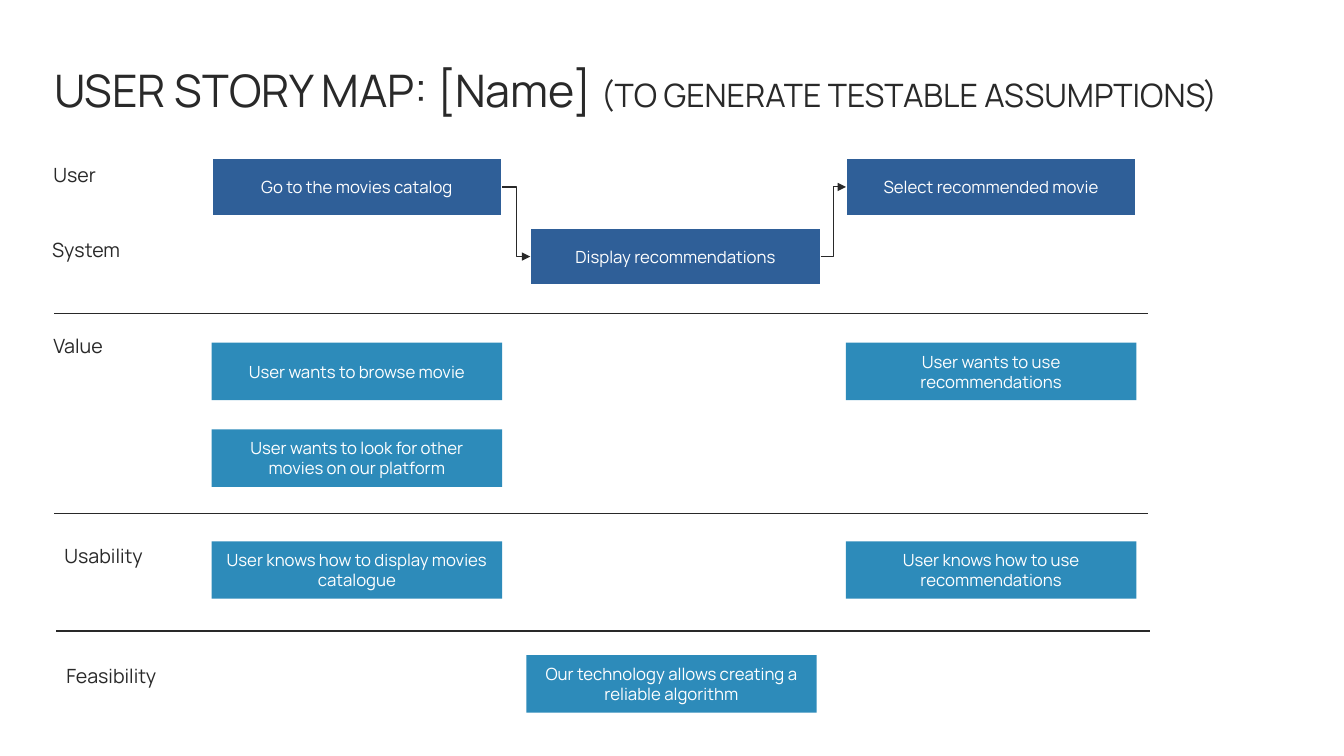
import pptx
import pptx.dml.color
import pptx.enum.shapes
import pptx.enum.text
import pptx.oxml.ns
import pptx.util
from lxml import etree

FONT = "Manrope"
INK, WHITE, STEP_BLUE, ASSUMPTION_BLUE = "292929", "FFFFFF", "2F5F98", "2D8BBA"
COLUMNS = {"first": 2.1, "feasible": 5.22, "second": 5.26, "third": 8.39}
ROWS = {"user": 1.57, "system": 2.26, "value": 3.4, "more value": 4.26,
        "usability": 5.37, "feasibility": 6.5}
CARD_WIDTH, CARD_HEIGHT = 2.88, 0.57
DIVIDER_WIDTH = 10.85
RIGHT_SITE, LEFT_SITE = 3, 1

STEPS = [
    ("first", "user", "Go to the movies catalog"),
    ("second", "system", "Display recommendations"),
    ("third", "user", "Select recommended movie"),
]
ASSUMPTIONS = [
    ("first", "value", "User wants to browse movie"),
    ("first", "more value", "User wants to look for other movies on our platform"),
    ("third", "value", "User wants to use recommendations"),
    ("third", "usability", "User knows how to use recommendations"),
    ("first", "usability", "User knows how to display movies catalogue"),
    ("feasible", "feasibility", "Our technology allows creating a reliable algorithm"),
]
LABELS = [
    (0.43, 1.57, 0.68, "User"),
    (0.42, 2.31, 0.93, "System"),
    (0.43, 3.26, 1.35, "Value"),
    (0.54, 5.35, 1.09, "Usability"),
    (0.56, 6.54, 1.22, "Feasibility"),
]
DIVIDERS = [(0.54, 3.11), (0.54, 5.09), (0.56, 6.26)]


def inches(*lengths):
    return [pptx.util.Inches(length) for length in lengths]


def color(hex_code):
    return pptx.dml.color.RGBColor.from_string(hex_code)


def set_font(font, size, hex_code):
    font.name = FONT
    font.size = pptx.util.Pt(size)
    font.color.rgb = color(hex_code)


def add_title(slide, name, purpose):
    frame = slide.shapes.add_textbox(*inches(0.54, 0.62, 12.27, 3.44)).text_frame
    frame.word_wrap = True
    frame.margin_left = frame.margin_right = frame.margin_top = frame.margin_bottom = 0
    for text, size in ((name, 32), (purpose, 23)):
        part = frame.paragraphs[0].add_run()
        part.text = text
        set_font(part.font, size, INK)


def add_label(slide, left, top, width, text):
    frame = slide.shapes.add_textbox(*inches(left, top, width, 0.34)).text_frame
    frame.word_wrap = True
    frame.auto_size = pptx.enum.text.MSO_AUTO_SIZE.SHAPE_TO_FIT_TEXT
    frame.text = text
    set_font(frame.paragraphs[0].font, 14, INK)


def add_card(slide, column, row, text, fill, outline=None):
    card = slide.shapes.add_shape(
        pptx.enum.shapes.MSO_SHAPE.RECTANGLE,
        *inches(COLUMNS[column], ROWS[row], CARD_WIDTH, CARD_HEIGHT))
    card.shadow.inherit = False
    card.fill.solid()
    card.fill.fore_color.rgb = color(fill)
    if outline:
        card.line.color.rgb = color(outline)
        card.line.width = pptx.util.Pt(1.5)
    else:
        card.line.fill.background()
    frame = card.text_frame
    frame.word_wrap = True
    frame.vertical_anchor = pptx.enum.text.MSO_ANCHOR.MIDDLE
    frame.text = text
    paragraph = frame.paragraphs[0]
    paragraph.alignment = pptx.enum.text.PP_ALIGN.CENTER
    set_font(paragraph.font, 12, WHITE)
    return card


def add_line(slide, kind, *ends):
    line = slide.shapes.add_connector(kind, *inches(*ends))
    line.line.color.rgb = color(INK)
    line.line.width = pptx.util.Pt(0.75)
    etree.SubElement(line._element.spPr, pptx.oxml.ns.qn("a:effectLst"))
    return line


def add_divider(slide, left, top):
    add_line(slide, pptx.enum.shapes.MSO_CONNECTOR.STRAIGHT,
             left, top, left + DIVIDER_WIDTH, top)


def add_arrow(slide, source, target):
    arrow = add_line(slide, pptx.enum.shapes.MSO_CONNECTOR.ELBOW, 0, 0, 1, 1)
    arrow.begin_connect(source, RIGHT_SITE)
    arrow.end_connect(target, LEFT_SITE)
    outline = arrow.line._get_or_add_ln()
    etree.SubElement(outline, pptx.oxml.ns.qn("a:tailEnd"), type="triangle")


def main():
    deck = pptx.Presentation()
    deck.slide_width, deck.slide_height = inches(13.33, 7.5)
    slide = deck.slides.add_slide(deck.slide_layouts[6])

    add_title(slide, "USER STORY MAP: [Name] ", "(TO GENERATE TESTABLE ASSUMPTIONS)")
    for label in LABELS:
        add_label(slide, *label)
    steps = [add_card(slide, *step, STEP_BLUE, WHITE) for step in STEPS]
    for assumption in ASSUMPTIONS:
        add_card(slide, *assumption, ASSUMPTION_BLUE)
    for divider in DIVIDERS:
        add_divider(slide, *divider)
    for source, target in zip(steps, steps[1:]):
        add_arrow(slide, source, target)

    deck.save("out.pptx")


if __name__ == "__main__":
    main()
